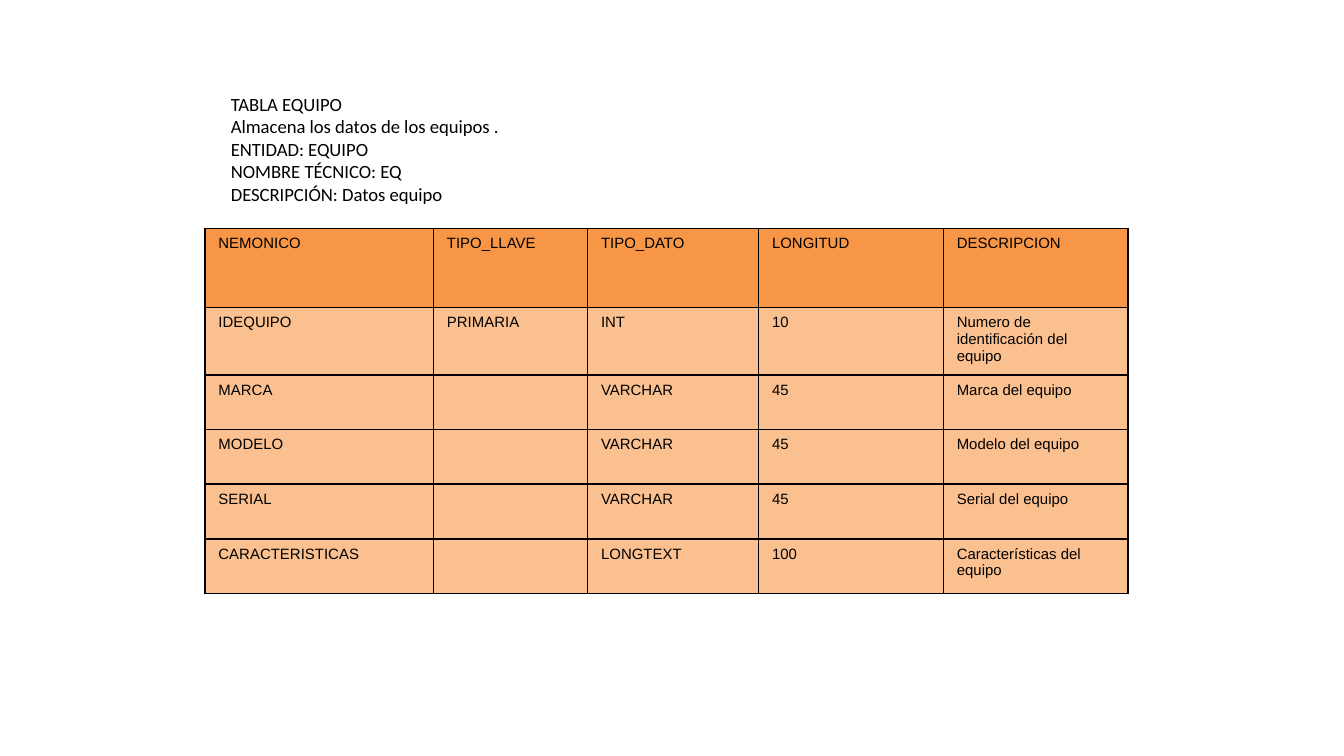
"""Build the slide that documents the EQUIPO table."""
import pptx
import pptx.dml.color
import pptx.enum.text
import pptx.oxml
import pptx.oxml.ns
import pptx.util

Pt = pptx.util.Pt
BLACK = pptx.dml.color.RGBColor(0x00, 0x00, 0x00)
ORANGE = pptx.dml.color.RGBColor(0xF7, 0x96, 0x46)
PEACH = pptx.dml.color.RGBColor(0xFA, 0xC0, 0x90)

INTRO = [
    "TABLA EQUIPO",
    "Almacena los datos de los equipos .",
    "ENTIDAD: EQUIPO",
    "NOMBRE TÉCNICO: EQ",
    "DESCRIPCIÓN: Datos equipo",
]
ROWS = [
    ["NEMONICO", "TIPO_LLAVE", "TIPO_DATO", "LONGITUD", "DESCRIPCION"],
    ["IDEQUIPO", "PRIMARIA", "INT", "10", "Numero de identificación del equipo"],
    ["MARCA", "", "VARCHAR", "45", "Marca del equipo"],
    ["MODELO", "", "VARCHAR", "45", "Modelo del equipo"],
    ["SERIAL", "", "VARCHAR", "45", "Serial del equipo"],
    ["CARACTERISTICAS", "", "LONGTEXT", "100", "Características del equipo"],
]
COLUMN_WIDTHS = [122.4, 82.6, 91.6, 99, 99]
ROW_HEIGHTS = [42.4, 36] + [29.3] * 4


def write_text(frame, text, font, size, color=BLACK):
    """Fill a text frame, one paragraph for each line of text."""
    for index, line in enumerate(text.split("\n")):
        para = frame.paragraphs[0] if index == 0 else frame.add_paragraph()
        span = para.add_run()
        span.text = line
        span.font.name = font
        span.font.size = Pt(size)
        span.font.color.rgb = color


def add_borders(cell, color=BLACK, width=1):
    """Draw a solid line on all four sides of a table cell."""
    properties = cell._tc.get_or_add_tcPr()
    for position, side in enumerate(["lnL", "lnR", "lnT", "lnB"]):
        line = pptx.oxml.parse_xml(
            f'<a:{side} {pptx.oxml.ns.nsdecls("a")} w="{Pt(width)}">'
            f'<a:solidFill><a:srgbClr val="{color}"/></a:solidFill></a:{side}>'
        )
        properties.insert(position, line)


deck = pptx.Presentation()
deck.slide_width = Pt(720)
deck.slide_height = Pt(405)
page = deck.slides.add_slide(deck.slide_layouts.get_by_name("Blank"))

box = page.shapes.add_textbox(Pt(116.6), Pt(42.5), Pt(298.8), Pt(87.1))
frame = box.text_frame
frame.word_wrap = True
frame.auto_size = pptx.enum.text.MSO_AUTO_SIZE.SHAPE_TO_FIT_TEXT
frame.margin_left = frame.margin_right = Pt(7.2)
frame.margin_top = frame.margin_bottom = Pt(7.2)
write_text(frame, "\n".join(INTRO), font="Calibri", size=10)

table = page.shapes.add_table(
    len(ROWS), len(COLUMN_WIDTHS), Pt(109.8), Pt(122.4),
    Pt(sum(COLUMN_WIDTHS)), Pt(sum(ROW_HEIGHTS)),
).table
for column, width in zip(table.columns, COLUMN_WIDTHS):
    column.width = Pt(width)
for row_index, (row, height, texts) in enumerate(zip(table.rows, ROW_HEIGHTS, ROWS)):
    row.height = Pt(height)
    for cell, text in zip(row.cells, texts):
        cell.fill.solid()
        cell.fill.fore_color.rgb = ORANGE if row_index == 0 else PEACH
        add_borders(cell)
        if text:
            write_text(cell.text_frame, text, font="Arial", size=8)
            cell.text_frame.paragraphs[0].runs[0].font.bold = False

deck.save("out.pptx")
